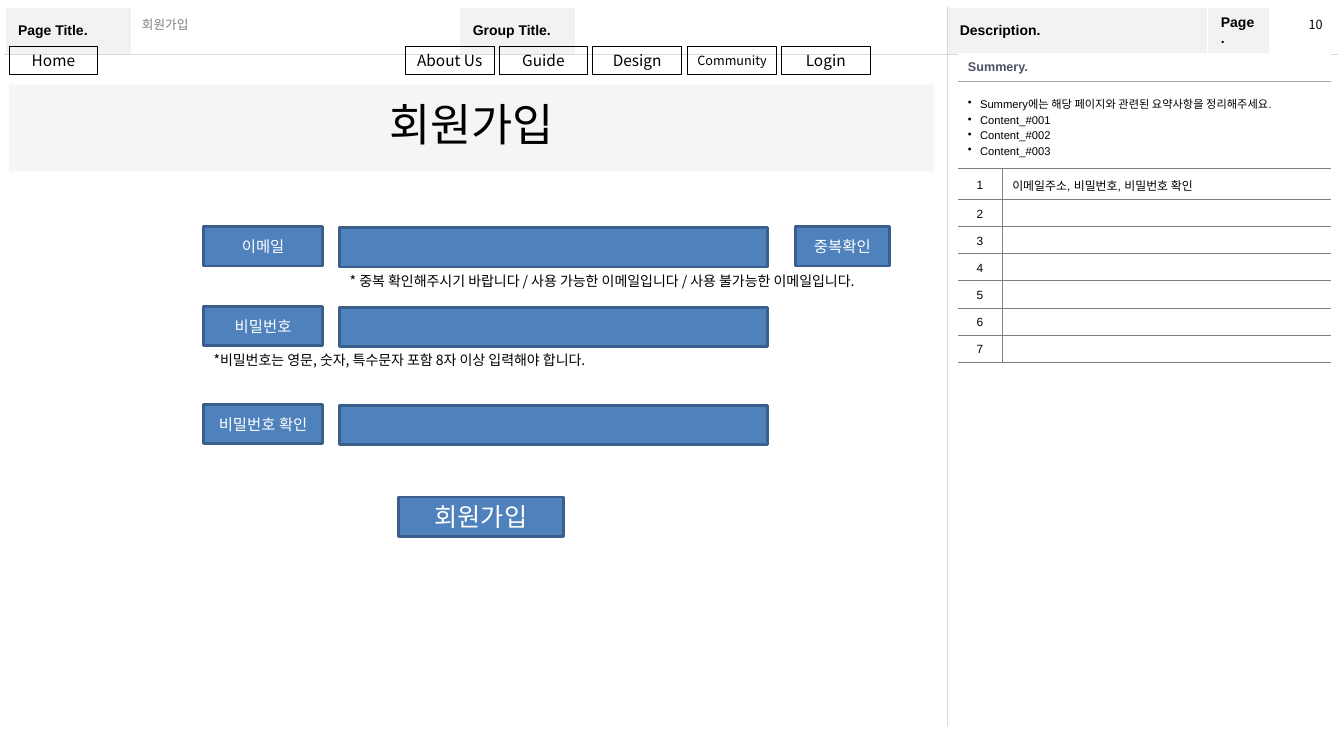
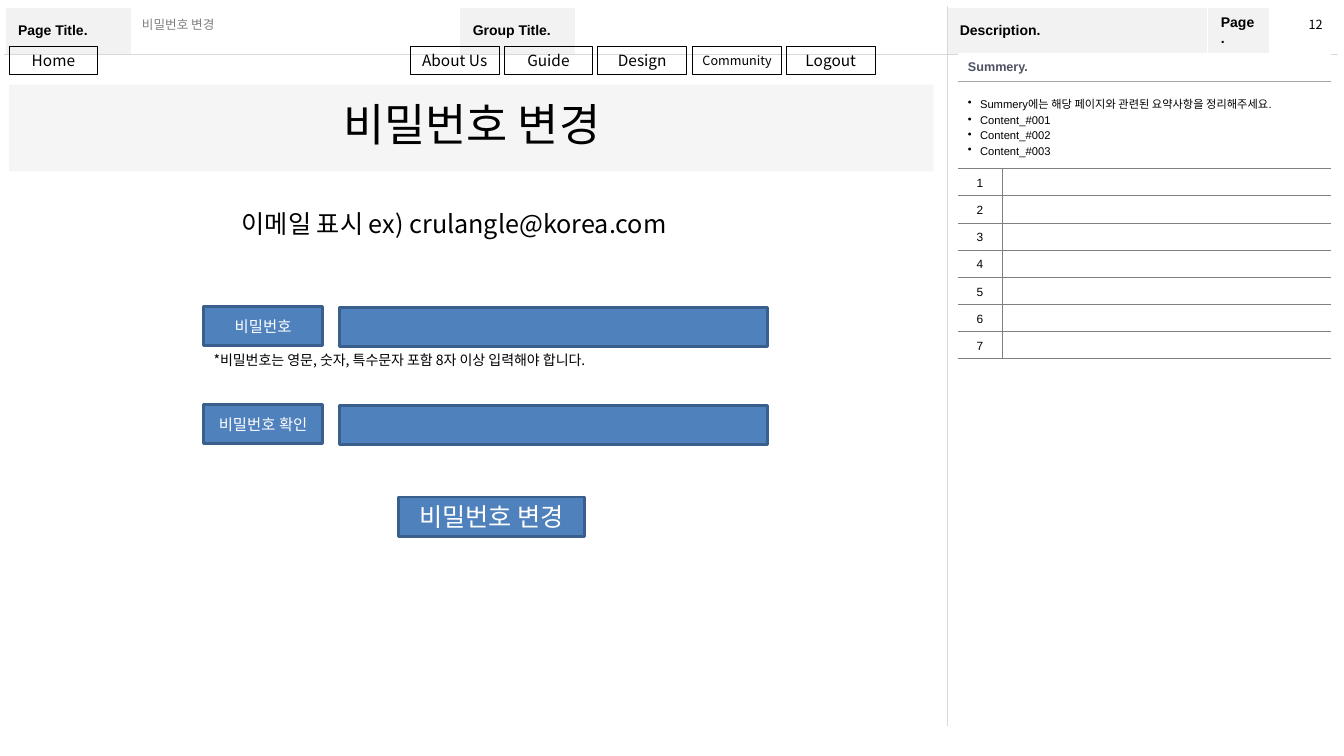
"""Build the sign-up and password-change wireframe slides."""
from dataclasses import dataclass
from typing import NamedTuple

from lxml.etree import SubElement as Sub
from pptx import Presentation
from pptx.dml.color import RGBColor
from pptx.enum.shapes import MSO_SHAPE as Kind
from pptx.enum.text import MSO_ANCHOR as Anchor, MSO_AUTO_SIZE as Fit, PP_ALIGN as Align
from pptx.oxml.ns import qn
from pptx.util import Pt

PX = 9144
BLACK = RGBColor(0x00, 0x00, 0x00)
WHITE = RGBColor(0xFF, 0xFF, 0xFF)
PALE = RGBColor(0xF2, 0xF2, 0xF2)
RULE = RGBColor(0xD9, 0xD9, 0xD9)
SILVER = RGBColor(0xA6, 0xA6, 0xA6)
GRAY = RGBColor(0x80, 0x80, 0x80)
SLATE = RGBColor(0x4E, 0x52, 0x63)
BLUE = RGBColor(0x4F, 0x81, 0xBD)
NAVY = RGBColor(0x3A, 0x5F, 0x8C)
SANS = "Arial"
NOTO = "Noto Sans CJK KR"
PLAIN = "{2D5ABB26-0587-4C30-8999-92F81FD0307C}"
HEADS = {0: "Page Title.", 2: "Group Title.", 4: "Description.", 5: "Page."}
BULLETS = [
    "Summery에는 해당 페이지와 관련된 요약사항을 정리해주세요.",
    "Content_#001",
    "Content_#002",
    "Content_#003",
]
RULES = "*비밀번호는 영문, 숫자, 특수문자 포함 8자 이상 입력해야 합니다."
CHECK = "* 중복 확인해주시기 바랍니다 / 사용 가능한 이메일입니다 / 사용 불가능한 이메일입니다."


class Box(NamedTuple):
    """Left, top, width and height in px."""
    left: int
    top: int
    wide: int
    high: int

    def emu(self) -> list[int]:
        """Return the four lengths in EMU."""
        return [n * PX for n in self]


@dataclass
class Field:
    """A labelled input row."""
    label: str
    top: int


@dataclass
class Page:
    """What differs from slide to slide."""
    title: str
    number: str
    start: int
    login: str
    button: int
    fields: list[Field]
    remark: str = ""


SECRET = [Field("비밀번호", 304), Field("비밀번호 확인", 401)]
JOIN = Page("회원가입", "10", 402, "Login", 164, [Field("이메일", 225), *SECRET],
            "이메일주소, 비밀번호, 비밀번호 확인")
CHANGE = Page("비밀번호 변경", "12", 407, "Logout", 185, SECRET)


def write(frame, *lines: str, size=11, font=NOTO, color=BLACK, bold=False,
          align=Align.LEFT, space=1.0, bullet="") -> None:
    """Fill a text frame with formatted paragraphs."""
    for i, line in enumerate(lines):
        para = frame.add_paragraph() if i else frame.paragraphs[0]
        para.alignment, para.line_spacing = align, space
        para.space_before = Pt(0)
        if bullet:
            props = para._p.get_or_add_pPr()
            props.set("marL", str(12 * PX))
            props.set("indent", str(-12 * PX))
            Sub(props, qn("a:buChar"), char=bullet)
        run = para.add_run()
        run.text = line
        face = run.font
        face.size, face.bold, face.name = Pt(size), bold, font
        face.color.rgb = color
        Sub(run._r.get_or_add_rPr(), qn("a:ea"), typeface=NOTO)


def label(slide, box: Box, text: str, wrap=False, anchor=Anchor.TOP, **style) -> None:
    """Add a text box."""
    frame = slide.shapes.add_textbox(*box.emu()).text_frame
    frame.word_wrap, frame.vertical_anchor = wrap, anchor
    frame.auto_size = Fit.NONE if wrap else Fit.SHAPE_TO_FIT_TEXT
    write(frame, text, **style)


def block(slide, box: Box, text="", kind=Kind.RECTANGLE, fill=BLUE, line=NAVY,
          weight=2.0, **style):
    """Add a preset shape with centred text."""
    shape = slide.shapes.add_shape(kind, *box.emu())
    shape.shadow.inherit = False
    if fill is None:
        shape.fill.background()
    else:
        shape.fill.solid()
        shape.fill.fore_color.rgb = fill
    if line is None:
        shape.line.fill.background()
    else:
        shape.line.color.rgb, shape.line.width = line, Pt(weight)
    if text:
        inner = shape.text_frame
        inner.margin_left = inner.margin_right = 0
        inner.vertical_anchor = Anchor.MIDDLE
        write(inner, text, **{"color": WHITE, "align": Align.CENTER, **style})
    return shape


def grid(slide, box: Box, cols: list[int], rows: list[int]):
    """Add an unstyled table with the given column widths and row heights."""
    table = slide.shapes.add_table(len(rows), len(cols), *box.emu()).table
    table._tbl.tblPr[0].text = PLAIN
    table.first_row = table.horz_banding = False
    for col, wide in zip(table.columns, cols):
        col.width = wide * PX
    for row, high in zip(table.rows, rows):
        row.height = high * PX
    return table


def dress(cell, fill=None, **edges: RGBColor) -> None:
    """Set the borders (L, R, T, B) and the fill of a cell."""
    cell.vertical_anchor = Anchor.MIDDLE
    props = cell._tc.get_or_add_tcPr()
    for side in "LRTB":
        if side in edges:
            color = edges[side]
            width = Pt(1) if color == WHITE else Pt(0.25)
            edge = Sub(props, qn(f"a:ln{side}"), w=str(int(width)))
            Sub(Sub(edge, qn("a:solidFill")), qn("a:srgbClr"), val=str(color))
    if fill is None:
        cell.fill.background()
    else:
        cell.fill.solid()
        cell.fill.fore_color.rgb = fill


def frame(slide) -> None:
    """Draw the page frame with its header cells."""
    cols = [126, 325, 115, 368, 259, 61, 68]
    table = grid(slide, Box(5, 7, 1322, 714), cols, [47, 667])
    last = len(cols) - 1
    for i in range(len(cols)):
        cell = table.cell(0, i)
        dress(cell, PALE if i in HEADS else None, L=RULE if i == 4 else WHITE,
              R=RULE if i == 3 else WHITE, T=WHITE, B=RULE)
        if i in HEADS:
            cell.margin_left = cell.margin_right = 13 * PX
            cell.margin_top = cell.margin_bottom = 7 * PX
            write(cell.text_frame, HEADS[i], size=10, font=SANS, bold=True)
    for first, end in ((0, 3), (4, last)):
        table.cell(1, first).merge(table.cell(1, end))
        for i in range(first, end + 1):
            dress(table.cell(1, i), L=RULE if first else WHITE,
                  R=WHITE if first else RULE, T=RULE, B=WHITE)


def notes(slide, remark: str) -> None:
    """Draw the description table."""
    table = grid(slide, Box(950, 53, 370, 303), [44, 326], [28, 86] + [27] * 7)
    for i in range(2):
        table.cell(i, 0).merge(table.cell(i, 1))
    for i in range(2):
        dress(table.cell(0, i), WHITE, B=SILVER)
        dress(table.cell(1, i), T=SILVER, B=GRAY)
    write(table.cell(0, 0).text_frame, "Summery.", size=9, font=SANS, color=SLATE, bold=True)
    write(table.cell(1, 0).text_frame, *BULLETS, size=8, font=SANS,
          align=Align.JUSTIFY, space=1.2, bullet="•")
    for i in range(1, 8):
        index, detail = table.cell(i + 1, 0), table.cell(i + 1, 1)
        dress(index, R=GRAY, T=GRAY, B=GRAY)
        dress(detail, L=GRAY, T=GRAY, B=GRAY)
        write(index.text_frame, str(i), size=8.5, font=SANS, align=Align.CENTER, space=1.2)
        if i == 1 and remark:
            write(detail.text_frame, remark, size=8.5, font=SANS,
                  align=Align.JUSTIFY, space=1.2)
        else:
            Sub(detail.text_frame.paragraphs[0]._p, qn("a:endParaRPr"), sz="850")


def menu(slide, start: int, login: str) -> None:
    """Draw the navigation buttons."""
    names = ["About Us", "Guide", "Design", "Community", login]
    spots = [(9, "Home")] + [(start + i * 280 // 3, name) for i, name in enumerate(names)]
    for left, name in spots:
        block(slide, Box(left, 46, 88, 28), name, kind=Kind.FLOWCHART_PROCESS, fill=None,
              line=BLACK, weight=0.75, color=BLACK, size=9 if name == "Community" else 11)


def build(deck, page: Page):
    """Add one slide with everything the pages share."""
    slide = deck.slides.add_slide(deck.slide_layouts[5])
    frame(slide)
    band = block(slide, Box(9, 84, 917, 86), kind=Kind.FLOWCHART_PROCESS, fill=PALE, line=None)
    tint = next(band.element.iter(qn("a:srgbClr")))
    Sub(tint, qn("a:alpha"), val="70000")
    title = slide.shapes.title
    title.element.getparent().append(title.element)
    title.left, title.top, title.width, title.height = Box(281, 98, 374, 50).emu()
    title.text_frame.auto_size = Fit.NONE
    title.text_frame.vertical_anchor = Anchor.MIDDLE
    write(title.text_frame, page.title, size=32, align=Align.CENTER)
    label(slide, Box(131, 12, 324, 24), page.title, wrap=True, anchor=Anchor.MIDDLE,
          size=9, font=SANS, color=GRAY)
    notes(slide, page.remark)
    label(slide, Box(1288, 12, 34, 25), page.number, size=9)
    menu(slide, page.start, page.login)
    for field in page.fields:
        block(slide, Box(202, field.top, 118, 39), field.label)
        block(slide, Box(337, field.top + 1, 424, 39))
    label(slide, Box(202, 344, 433, 27), RULES, size=10)
    block(slide, Box(395, 493, page.button, 39), page.title, size=18)
    return slide


def main() -> None:
    """Build and save the deck."""
    deck = Presentation()
    deck.slide_width, deck.slide_height = 1333 * PX, 750 * PX
    join = build(deck, JOIN)
    block(join, Box(789, 225, 93, 39), "중복확인")
    label(join, Box(337, 265, 580, 27), CHECK, size=10)
    change = build(deck, CHANGE)
    label(change, Box(171, 202, 559, 39), "이메일 표시 ex) crulangle@korea.com",
          wrap=True, anchor=Anchor.MIDDLE, size=18, align=Align.CENTER)
    deck.save("out.pptx")


if __name__ == "__main__":
    main()
